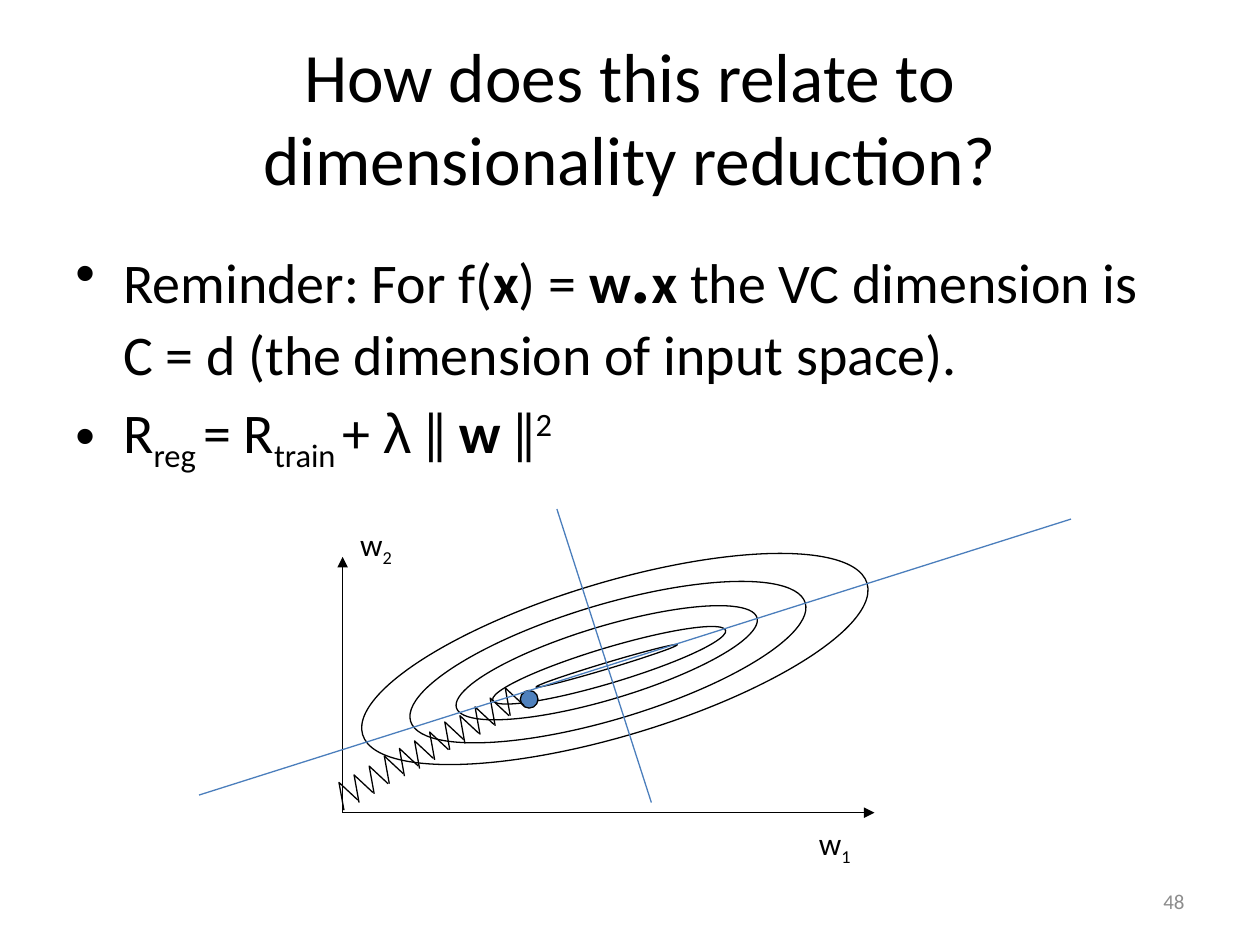
"""Build the slide relating regularisation to dimensionality reduction."""
from lxml import etree
from pptx import Presentation
from pptx import util as u
from pptx.dml.color import RGBColor
from pptx.enum import shapes, text
from pptx.oxml.ns import qn

THEME = {
    "font": "Calibri", "symbol": "Arial",
    "ink": "000000", "muted": "8C8C8C", "dot": "4F81BD", "axis": "4B7EBC",
    "title": 39.6, "body": 32, "big": 44, "label": 18, "number": 12, "line": 0.75,
}
LEFT, CENTER, RIGHT = (text.PP_ALIGN.LEFT, text.PP_ALIGN.CENTER, text.PP_ALIGN.RIGHT)
TOP, MIDDLE = text.MSO_ANCHOR.TOP, text.MSO_ANCHOR.MIDDLE

BOLD = {"bold": True}
SUB = {"base": -25}
TITLE = [[("How does this relate to\vdimensionality reduction?", {})]]
BULLETS = [
    [("Reminder: For f(", {}), ("x", BOLD), (") = ", {}), ("w", BOLD),
     (".", {"bold": True, "size": THEME["big"]}), ("x ", BOLD),
     ("the VC dimension is C = d (the dimension of input space).", {})],
    [("R", {}), ("reg ", SUB), ("= R", {}), ("train ", SUB), ("+ ", {}),
     ("λ", {"font": THEME["symbol"]}), (" ǁ ", {}), ("w", BOLD), (" ǁ", {}),
     ("2", {"base": 30})],
]
NUMBER = [[("48", {})]]
AXIS_LABELS = [("1", (6.4, 6.49, 0.87, 0.5)), ("2", (2.76, 4.12, 0.62, 0.5))]

ORIGIN = (2.72, 6.45)
AXIS_ENDS = [(2.72, 4.42), (6.94, 6.45)]
PRINCIPAL_AXES = [((1.58, 6.31), (8.5, 4.12)), ((4.42, 4.04), (5.17, 6.37))]
CONTOUR_TILT = 343.3
CONTOURS = [
    (2.79, 4.62, 4.18, 1.22), (3.19, 4.8, 3.27, 0.91), (3.57, 4.97, 2.49, 0.58),
    (3.87, 5.14, 1.93, 0.28), (4.23, 5.26, 1.17, 0.05),
]
OPTIMUM = (4.13, 5.48, 0.14, 0.14)
TOOTH = [(-0.04, -0.22), (0.11, -0.08)]
TOOTH_START, TOOTH_STEP = 2.73, 0.12
TOOTH_Y = [6.43, 6.37, 6.3, 6.22, 6.16, 6.1, 6.03, 5.95, 5.9, 5.83, 5.76, 5.68]


def inches(values):
    return [u.Inches(v) for v in values]


def color(name):
    return RGBColor.from_string(THEME[name])


def add_bullet(p):
    pPr = p._p.get_or_add_pPr()
    pPr.set("marL", str(u.Inches(0.38)))
    pPr.set("indent", str(u.Inches(-0.38)))
    etree.SubElement(pPr, qn("a:buFont")).set("typeface", THEME["symbol"])
    etree.SubElement(pPr, qn("a:buChar")).set("char", "•")


def add_text(s, box, paragraphs, size, ink="ink", align=LEFT, anchor=TOP, bullets=False):
    tf = s.shapes.add_textbox(*inches(box)).text_frame
    tf.word_wrap = True
    tf.vertical_anchor = anchor
    for i, runs in enumerate(paragraphs):
        p = tf.add_paragraph() if i else tf.paragraphs[0]
        p.alignment = align
        if i:
            p.space_before = u.Pt(0.2 * THEME[size])
        if bullets:
            add_bullet(p)
        p.text = runs[0][0]
        for words, _ in runs[1:]:
            p.add_run().text = words
        styles = [style for _, style in runs]
        for k, r in enumerate(p.runs):
            style = styles[min(k, len(styles) - 1)]
            r.font.name = style.get("font", THEME["font"])
            r.font.size = u.Pt(style.get("size", THEME[size]))
            r.font.bold = style.get("bold", False)
            r.font.color.rgb = color(ink)
            if "base" in style:
                r.font._element.set("baseline", str(style["base"] * 1000))


def outline(sp, ink="ink"):
    sp.line.color.rgb = color(ink)
    sp.line.width = u.Pt(THEME["line"])


def add_line(s, start, end, ink, arrow=False):
    line = s.shapes.add_connector(
        shapes.MSO_CONNECTOR.STRAIGHT, *inches(start), *inches(end))
    outline(line, ink)
    if arrow:
        etree.SubElement(line.line._get_or_add_ln(), qn("a:tailEnd")).set("type", "triangle")
    etree.SubElement(line._element.spPr, qn("a:effectLst"))


def add_ellipse(s, box, tilt=0, fill=None):
    sp = s.shapes.add_shape(shapes.MSO_SHAPE.OVAL, *inches(box))
    sp.rotation = tilt
    finish(sp, fill)


def finish(sp, fill=None):
    sp.shadow.inherit = False
    outline(sp)
    if fill:
        sp.fill.solid()
        sp.fill.fore_color.rgb = color(fill)
    else:
        sp.fill.background()


def add_tooth(s, x, y):
    builder = s.shapes.build_freeform(*inches((x, y)))
    builder.add_line_segments(
        [inches((x + dx, y + dy)) for dx, dy in TOOTH], close=False)
    finish(builder.convert_to_shape())


def main():
    prs = Presentation()
    prs.slide_width, prs.slide_height = inches((10, 7.5))
    s = prs.slides.add_slide(prs.slide_layouts[6])

    add_text(s, (0.5, 0.3, 9, 1.25), TITLE, "title", align=CENTER, anchor=MIDDLE)
    add_text(s, (0.5, 1.75, 8.83, 4.95), BULLETS, "body", bullets=True)
    add_text(s, (7.17, 6.95, 2.33, 0.4), NUMBER, "number", "muted", RIGHT, MIDDLE)

    for end in AXIS_ENDS:
        add_line(s, ORIGIN, end, "ink", arrow=True)
    for index, box in AXIS_LABELS:
        add_text(s, box, [[("w", {}), (index, SUB)]], "label")
    for box in CONTOURS:
        add_ellipse(s, box, CONTOUR_TILT)
    add_ellipse(s, OPTIMUM, fill="dot")
    for i, y in enumerate(TOOTH_Y):
        add_tooth(s, TOOTH_START + i * TOOTH_STEP, y)
    for start, end in PRINCIPAL_AXES:
        add_line(s, start, end, "axis")

    prs.save("out.pptx")


if __name__ == "__main__":
    main()
